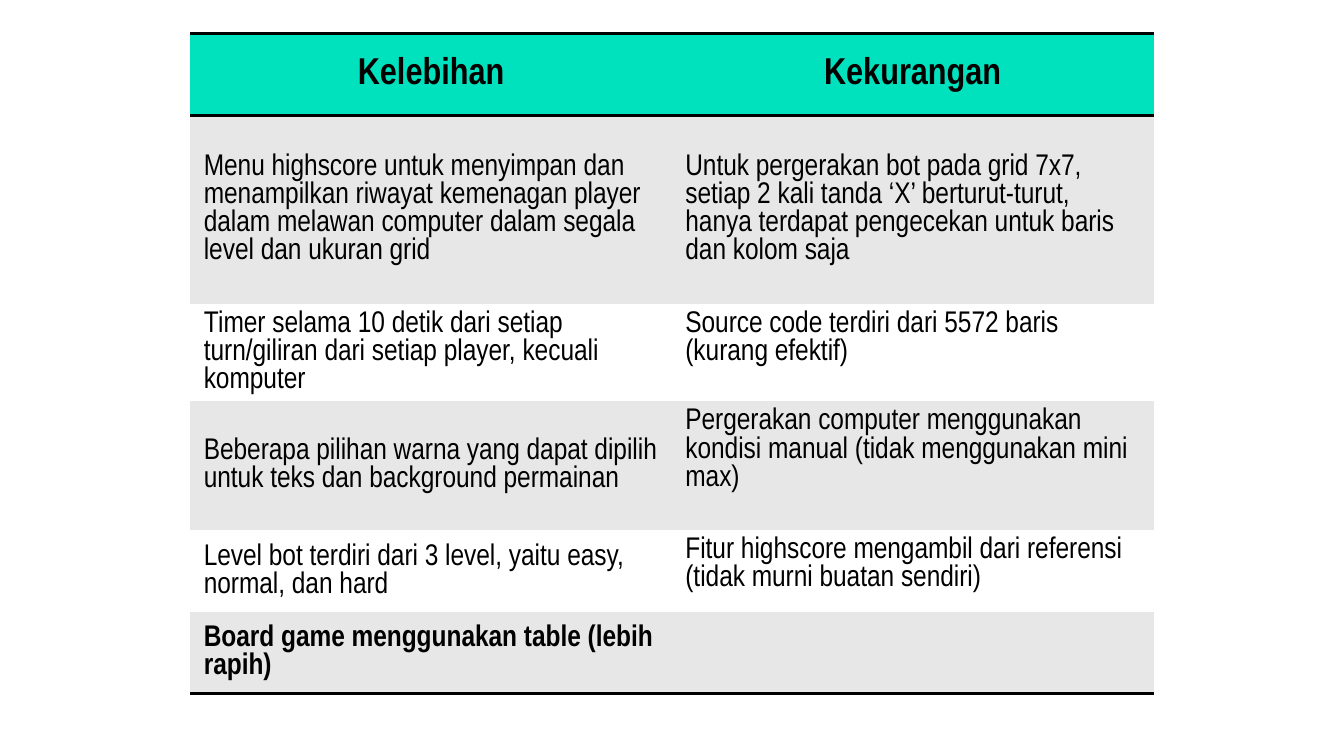
import pptx
import pptx.util
import pptx.dml.color
import pptx.enum.text
import pptx.oxml
import pptx.oxml.ns

Pt = pptx.util.Pt
RGBColor = pptx.dml.color.RGBColor
PP_ALIGN = pptx.enum.text.PP_ALIGN
MSO_ANCHOR = pptx.enum.text.MSO_ANCHOR

BLACK = RGBColor(0x00, 0x00, 0x00)
WHITE = RGBColor(0xFF, 0xFF, 0xFF)
GREY = RGBColor(0xE7, 0xE7, 0xE7)
TEAL = RGBColor(0x00, 0xE1, 0xBE)

FONT = "Arial Narrow"
PLAIN_STYLE = "{2D5ABB26-0587-4C30-8999-92F81FD0307C}"
COLUMN_WIDTH = 258
ROW_HEIGHTS = [44, 100.8, 52.2, 69, 44, 43.6]
ROWS = [
    ("Kelebihan", "Kekurangan"),
    ("Menu highscore untuk menyimpan dan menampilkan riwayat kemenagan player "
     "dalam melawan computer dalam segala level dan ukuran grid",
     "Untuk pergerakan bot pada grid 7x7, setiap 2 kali tanda ‘X’ berturut-turut, "
     "hanya terdapat pengecekan untuk baris dan kolom saja"),
    ("Timer selama 10 detik dari setiap turn/giliran dari setiap player, kecuali komputer",
     "Source code terdiri dari 5572 baris (kurang efektif)"),
    ("Beberapa pilihan warna yang dapat dipilih untuk teks dan background permainan",
     "Pergerakan computer menggunakan kondisi manual (tidak menggunakan mini max)"),
    ("Level bot terdiri dari 3 level, yaitu easy, normal, dan hard",
     "Fitur highscore mengambil dari referensi (tidak murni buatan sendiri)"),
    ("Board game menggunakan table (lebih rapih)", ""),
]


def add_border(cell, tag):
    ln = pptx.oxml.parse_xml(
        f'<a:{tag} {pptx.oxml.ns.nsdecls("a")} w="{Pt(2)}"><a:solidFill>'
        f'<a:srgbClr val="{BLACK}"/></a:solidFill></a:{tag}>')
    borders = cell._tc.get_or_add_tcPr().findall(pptx.oxml.ns.qn("a:lnT"))
    cell._tc.tcPr.insert(len(borders), ln)


def fill_cell(cell, text, color, size, bold, align, anchor):
    cell.fill.solid()
    cell.fill.fore_color.rgb = color
    cell.vertical_anchor = anchor
    p = cell.text_frame.paragraphs[0]
    p.alignment = align
    if text:
        p.text = text
    p.font.name = FONT
    p.font.size = Pt(size)
    p.font.bold = bold
    p.font.color.rgb = BLACK


def add_comparison_table(s):
    frame = s.shapes.add_table(len(ROWS), 2, Pt(102), Pt(18),
                               Pt(2 * COLUMN_WIDTH), Pt(sum(ROW_HEIGHTS)))
    table = frame.table
    table._tbl.tblPr.find(pptx.oxml.ns.qn("a:tableStyleId")).text = PLAIN_STYLE
    for column in table.columns:
        column.width = Pt(COLUMN_WIDTH)
    last = len(ROWS) - 1
    for i, texts in enumerate(ROWS):
        table.rows[i].height = Pt(ROW_HEIGHTS[i])
        header = i == 0
        color = TEAL if header else GREY if i % 2 else WHITE
        for j, text in enumerate(texts):
            cell = table.cell(i, j)
            top = j == 1 and i > 1
            fill_cell(cell, text, color,
                      size=20 if header else 16,
                      bold=i in (0, last),
                      align=PP_ALIGN.CENTER if header else PP_ALIGN.LEFT,
                      anchor=MSO_ANCHOR.TOP if top else MSO_ANCHOR.MIDDLE)
            if header:
                add_border(cell, "lnT")
            if i in (0, last):
                add_border(cell, "lnB")


def main():
    prs = pptx.Presentation()
    prs.slide_width = Pt(720)
    prs.slide_height = Pt(405)
    s = prs.slides.add_slide(prs.slide_layouts[6])
    add_comparison_table(s)
    prs.save("out.pptx")


if __name__ == "__main__":
    main()
